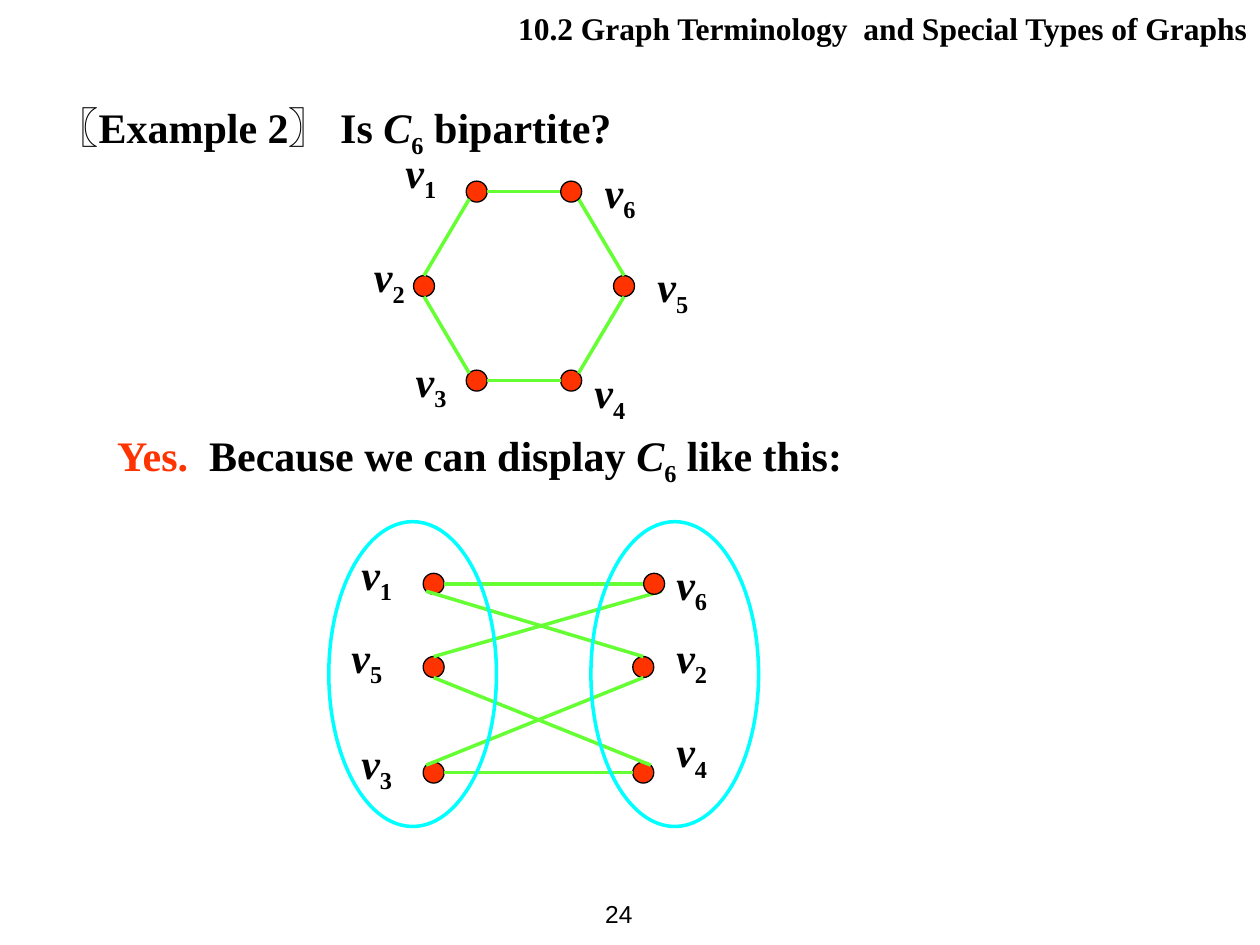
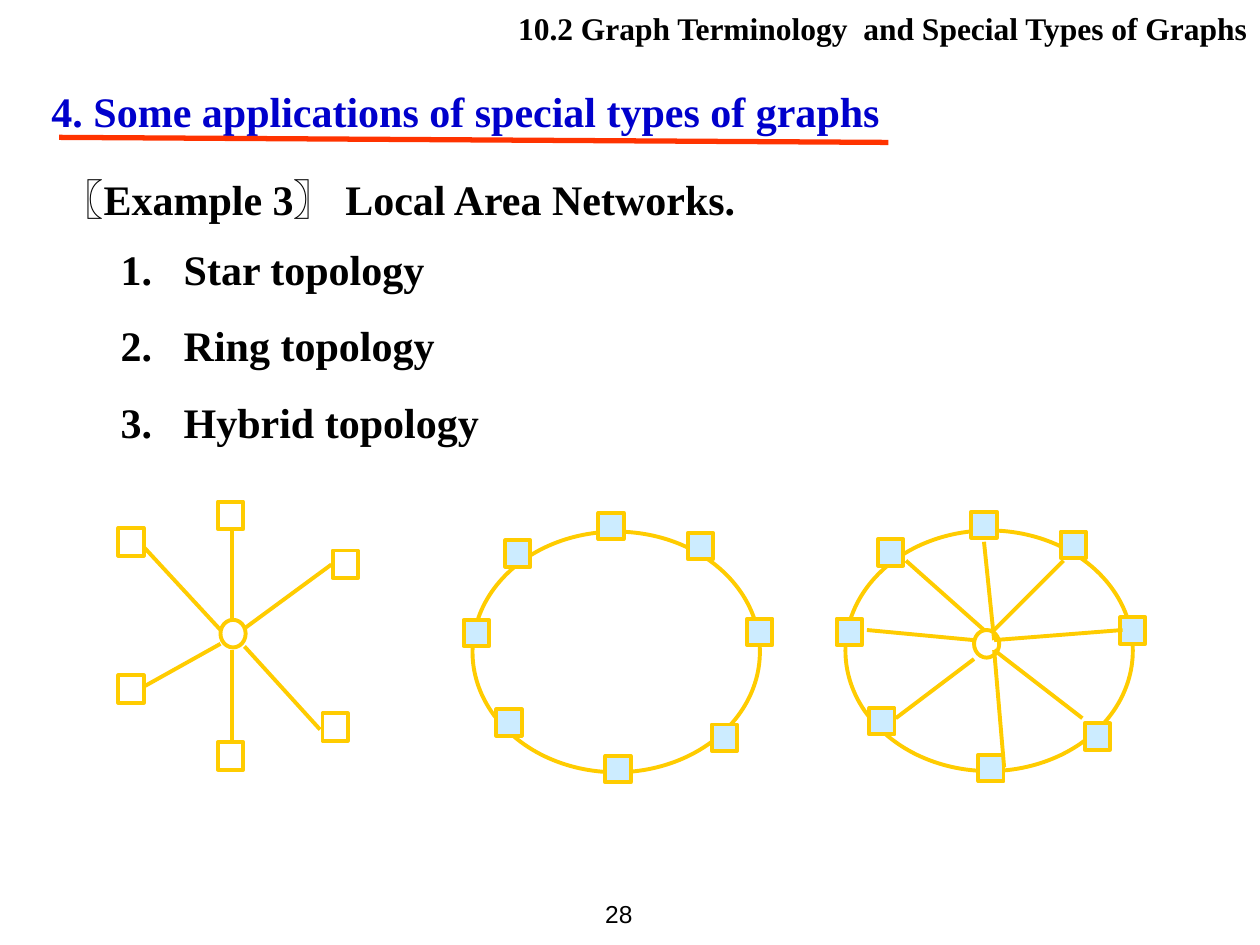
from dataclasses import dataclass

from lxml import etree
from pptx import Presentation
from pptx.dml.color import RGBColor
from pptx.enum import shapes, text
from pptx.oxml import ns
from pptx.util import Pt


@dataclass(frozen=True)
class Theme:
    ink: str = "000000"
    red: str = "FF3300"
    blue: str = "0000CC"
    edge: str = "66FF33"
    group: str = "00FFFF"
    network: str = "FFCC00"
    station: str = "CCECFF"
    serif: str = "Times New Roman"
    sans: str = "Arial"
    body: int = 24
    header: int = 18
    number: int = 14


THEME = Theme()
SUB = {"baseline": "-25000"}
ITALIC = {"italic": True}
SANS = {"name": THEME.sans}
HANGING = {"left": 36, "first": -36}
DOT = 12
LABEL_SIZE = (54, 40)
HUB_SIZE = (14.4, 15.8)
STATION_SIZE = (14.4, 15.1)
DIAGONAL = 0.71
# Attachment points on a dot, in units of its radius
SITES = {
    "top": (0, -1), "bottom": (0, 1), "left": (-1, 0), "right": (1, 0),
    "top left": (-DIAGONAL, -DIAGONAL), "top right": (DIAGONAL, -DIAGONAL),
    "bottom left": (-DIAGONAL, DIAGONAL), "bottom right": (DIAGONAL, DIAGONAL),
}


class Painter:
    """Draws on the current page; all lengths are in points."""

    def __init__(self, theme):
        self.theme = theme
        self.deck = Presentation()
        self.deck.slide_width, self.deck.slide_height = Pt(720), Pt(540)
        self.page = None

    def new_page(self, number):
        self.page = self.deck.slides.add_slide(self.deck.slide_layouts[6])
        self.text((286.6, 1.4, 433.4, 50.4),
                  ["10.2 Graph Terminology  and Special Types of Graphs"],
                  size=self.theme.header, align=text.PP_ALIGN.RIGHT, before=11.2)
        self.text((320.4, 504, 48.2, 36), [str(number)], size=self.theme.number,
                  name=self.theme.sans, bold=False, align=text.PP_ALIGN.RIGHT,
                  anchor=text.MSO_ANCHOR.MIDDLE, wrap=False)

    def text(self, frame, *paragraphs, align=text.PP_ALIGN.LEFT, before=0, after=0,
             left=0, first=0, numbered=False, wrap=True,
             anchor=text.MSO_ANCHOR.TOP, **look):
        """Each paragraph is a list of strings or (string, format) pairs."""
        box = self.page.shapes.add_textbox(*map(Pt, frame)).text_frame
        box.word_wrap, box.vertical_anchor = wrap, anchor
        for index, spans in enumerate(paragraphs):
            para = box.add_paragraph() if index else box.paragraphs[0]
            layout = {"alignment": align, "space_before": Pt(before), "space_after": Pt(after)}
            for key, value in layout.items():
                setattr(para, key, value)
            properties = para._p.get_or_add_pPr()
            properties.set("marL", str(Pt(left)))
            properties.set("indent", str(Pt(first)))
            if numbered:
                etree.SubElement(properties, ns.qn("a:buAutoNum"), type="arabicPeriod")
            for item in spans:
                words, own = (item, {}) if isinstance(item, str) else item
                self.span(para, words, {**look, **own})

    def span(self, para, words, look):
        span = para.add_run()
        span.text = words
        font = {"name": self.theme.serif, "size": self.theme.body, "bold": True,
                "italic": False, "color": self.theme.ink, **look}
        span.font.color.rgb = RGBColor.from_string(font.pop("color"))
        baseline = font.pop("baseline", None)
        font["size"] = Pt(font["size"])
        for key, value in font.items():
            setattr(span.font, key, value)
        if baseline:
            span._r.get_or_add_rPr().set("baseline", baseline)

    def shape(self, kind, frame, line, width, fill=None):
        shape = self.page.shapes.add_shape(kind, *map(Pt, frame))
        shape.shadow.inherit = False
        if fill:
            shape.fill.solid()
            shape.fill.fore_color.rgb = RGBColor.from_string(fill)
        else:
            shape.fill.background()
        self.stroke(shape, line, width)

    def line(self, start, end, color, width):
        line = self.page.shapes.add_connector(
            shapes.MSO_CONNECTOR.STRAIGHT, *map(Pt, (*start, *end)))
        self.stroke(line, color, width)
        etree.SubElement(line._element.spPr, ns.qn("a:effectLst"))

    @staticmethod
    def stroke(shape, color, width):
        shape.line.color.rgb = RGBColor.from_string(color)
        shape.line.width = Pt(width)

    def dot(self, center):
        x, y = center
        self.shape(shapes.MSO_SHAPE.FLOWCHART_CONNECTOR,
                   (x - DOT / 2, y - DOT / 2, DOT, DOT),
                   self.theme.ink, 0.75, self.theme.red)

    def graph(self, dots, labels, edges):
        """Draw numbered vertices and their edges; the last dot covers the edges."""
        def attach(vertex, site):
            return [c + DOT / 2 * s for c, s in zip(dots[vertex], SITES[site])]

        *covered, top_dot = dots.values()
        for center in covered:
            self.dot(center)
        for start, start_site, end, end_site in edges:
            self.line(attach(start, start_site), attach(end, end_site), self.theme.edge, 2)
        self.dot(top_dot)
        for vertex, corner in labels.items():
            self.text((*corner, *LABEL_SIZE), [("v", ITALIC), (str(vertex), SUB)], before=15)

    def example(self, left, top, number, *question):
        self.text((left, top, 653.8, 38), [("〖", SANS), f"Example {number}",
                  ("〗 ", SANS), *question], before=15, **HANGING)

    def ellipse(self, frame, color, width):
        self.shape(shapes.MSO_SHAPE.OVAL, frame, color, width)

    def stations(self, corners, size, fill=None):
        for corner in corners:
            self.shape(shapes.MSO_SHAPE.RECTANGLE, (*corner, *size),
                       self.theme.network, 2.25, fill)

    def hub(self, corner):
        self.ellipse((*corner, *HUB_SIZE), self.theme.network, 2.25)

    def spokes(self, ends):
        for start, end in ends:
            self.line(start, end, self.theme.network, 2.25)

    def ring(self, left, top):
        self.ellipse((left, top, 164.2, 137.5), self.theme.network, 2.25)
        offsets = [(72, -10.8), (123.1, 0.7), (157, 49.7), (-5, 50.4),
                   (18.7, 5), (13.7, 101.5), (76, 128.2), (136.8, 110.2)]
        self.stations([(left + x, top + y) for x, y in offsets],
                      STATION_SIZE, self.theme.station)


def bipartite_page(painter):
    painter.new_page(24)
    painter.example(25.2, 54.7, 2, "Is ", ("C", ITALIC), ("6", SUB), " bipartite?")
    painter.text((59.8, 241.9, 459.4, 39.6),
                 [("Yes.  ", {"color": THEME.red}), "Because we can display ",
                  ("C", ITALIC), ("6", SUB), " like this:"], before=6, after=6)

    painter.graph(
        dots={1: (272.4, 109.5), 2: (242.3, 163.5), 3: (272.4, 217.5),
              4: (326.4, 217.5), 5: (356.6, 163.5), 6: (326.4, 109.5)},
        labels={1: (224.6, 79.9), 2: (206.6, 139.7), 3: (230.4, 199.4),
                4: (332.6, 205.9), 5: (368.6, 145.4), 6: (338.4, 91.4)},
        edges=[(1, "bottom left", 2, "top"), (2, "bottom", 3, "top left"),
               (3, "right", 4, "left"), (4, "top right", 5, "bottom"),
               (5, "top", 6, "bottom right"), (6, "left", 1, "right")])

    left, right, rows = 247.8, 367.6, (333.6, 381.2, 441.5)
    painter.graph(
        dots={1: (left, rows[0]), 5: (left, rows[1]), 3: (left, rows[2]),
              2: (right, rows[1]), 4: (right, rows[2]), 6: (373.8, rows[0])},
        labels={1: (199.4, 309.6), 5: (193.7, 357.1), 3: (199.4, 417.6),
                6: (379.4, 315.4), 2: (379.4, 357.1), 4: (379.4, 411.1)},
        edges=[(1, "bottom left", 2, "top"), (2, "bottom", 3, "top left"),
               (3, "right", 4, "left"), (4, "top right", 5, "bottom"),
               (5, "top", 6, "bottom right"), (6, "left", 1, "right")])
    for group_left in (187.9, 337.7):
        painter.ellipse((group_left, 298.1, 95.8, 174.2), THEME.group, 2)


def topology_page(painter):
    painter.new_page(28)
    painter.text((22.3, 45.4, 550, 36), ["4. Some applications of special types of graphs"],
                 color=THEME.blue, before=9, **HANGING)
    painter.line((33.8, 78.5), (507.6, 81.4), THEME.red, 3)
    painter.example(28.1, 95.8, 3, "Local Area Networks.")
    painter.text((61.9, 135.4, 391, 123.8),
                 *[[f"{name} topology"] for name in ("Star", "Ring", "Hybrid")],
                 before=15, numbered=True, **HANGING)

    painter.hub((126, 354.2))
    painter.spokes([
        ((132.5, 301.7), (132.5, 354.2)), ((132.5, 371.5), (132.5, 424.1)),
        ((82.1, 392.4), (126, 367.9)), ((140.4, 358.6), (189.4, 322.6)),
        ((82.1, 312.5), (126, 360)), ((139.7, 369.4), (182.9, 416.9))])
    painter.stations([(124.6, 286.6), (124.6, 424.1), (67.7, 385.9),
                      (190.1, 314.6), (67.7, 301.7), (184.3, 407.5)], HUB_SIZE)

    painter.ring(270, 303.8)
    painter.ring(483.1, 303.1)
    painter.hub((556.6, 360))
    painter.spokes([
        ((568.1, 371.5), (618.5, 410.4)), ((568.1, 365.8), (641.5, 360)),
        ((568.1, 371.5), (573.8, 438.5)), ((517.7, 320.4), (562.3, 360)),
        ((495.4, 360), (556.6, 365.8)), ((556.6, 376.6), (511.9, 410.4)),
        ((562.3, 309.6), (568.1, 365.8)), ((568.1, 360), (607.7, 320.4))])


def main():
    painter = Painter(THEME)
    bipartite_page(painter)
    topology_page(painter)
    painter.deck.save("out.pptx")


if __name__ == "__main__":
    main()
